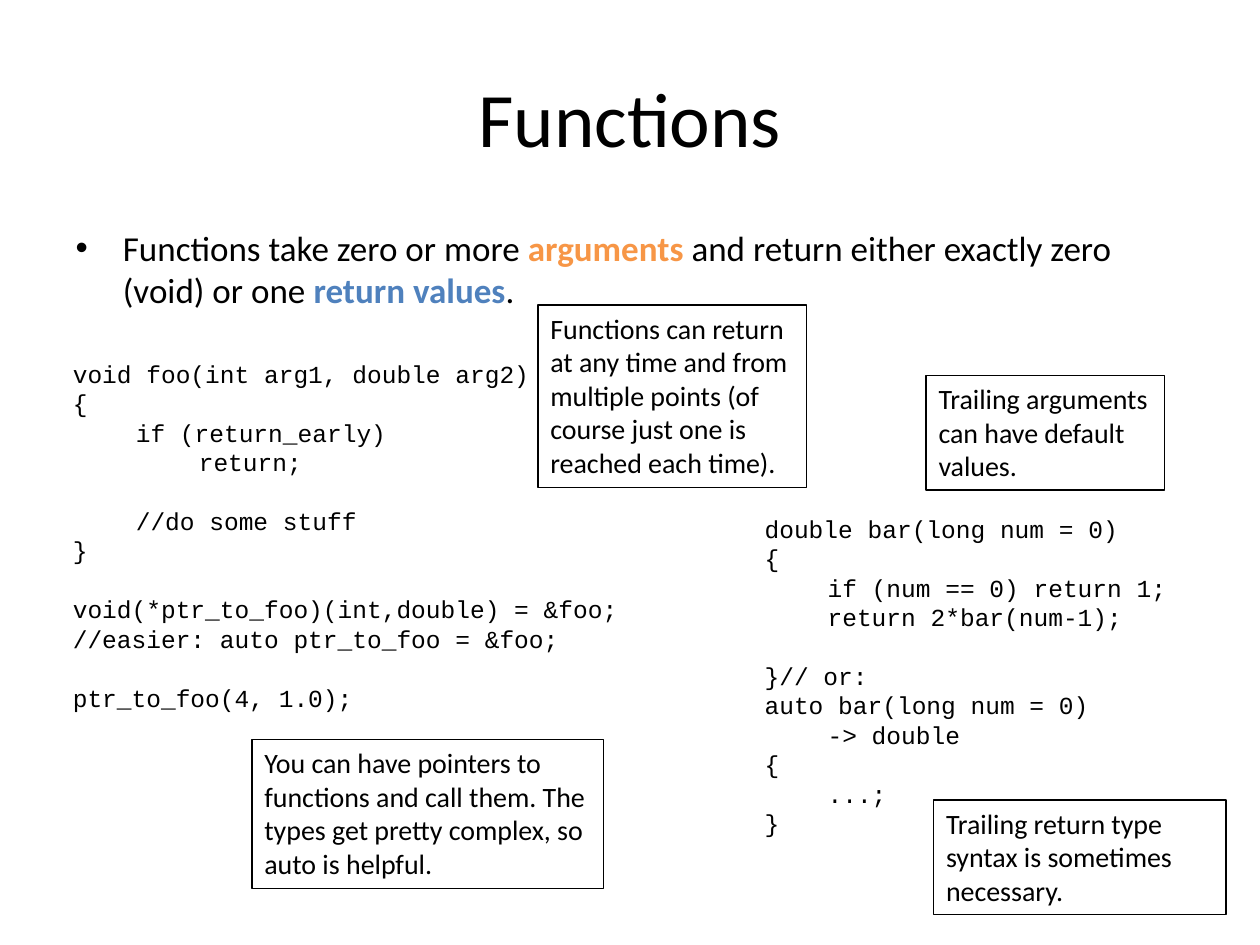
from pptx import Presentation
from pptx.dml.color import RGBColor
from pptx.enum.text import MSO_AUTO_SIZE as AutoSize
from pptx.util import Inches, Pt

BLACK = RGBColor(0x00, 0x00, 0x00)
ORANGE = RGBColor(0xF7, 0x96, 0x46)
BLUE = RGBColor(0x4F, 0x81, 0xBD)
CODE_LINE = Pt(16.8)


def add_run(paragraph, text, **formats):
    run = paragraph.add_run()
    run.text = text
    values = {"name": "Calibri", "size": Pt(16), "bold": False} | formats
    run.font.color.rgb = values.pop("color", BLACK)
    for name, value in values.items():
        setattr(run.font, name, value)


def add_box(slide, position, wrap):
    box = slide.shapes.add_textbox(*map(Inches, position))
    box.text_frame.word_wrap = wrap
    box.text_frame.auto_size = AutoSize.SHAPE_TO_FIT_TEXT
    return box


presentation = Presentation()
presentation.slide_width = Inches(10)
presentation.slide_height = Inches(7.5)
slide = presentation.slides.add_slide(presentation.slide_layouts[1])

# Title and bullet
title, body = slide.placeholders
add_run(title.text_frame.paragraphs[0], "Functions", size=Pt(44))
bullet_runs = [
    ("Functions take zero or more ", {}),
    ("arguments ", {"color": ORANGE, "bold": True}),
    ("and return either exactly zero (void) or one ", {}),
    ("return values", {"color": BLUE, "bold": True}),
    (".", {}),
]
for text, formats in bullet_runs:
    add_run(body.text_frame.paragraphs[0], text, size=Pt(20), **formats)

# Code listings: an empty line becomes space before the next line
FOO_CODE = """void foo(int arg1, double arg2)
{
\tif (return_early)
\t\treturn;

\t//do some stuff
}

void(*ptr_to_foo)(int,double) = &foo;
//easier: auto ptr_to_foo = &foo;

ptr_to_foo(4, 1.0);"""
BAR_CODE = """double bar(long num = 0)
{
\tif (num == 0) return 1;
\treturn 2*bar(num-1);
}

// or:
auto bar(long num = 0)
\t-> double
{
\t...;
}"""
listings = [
    ((0.48, 2.8, 4.56, 2.93), FOO_CODE),
    ((5.97, 4.03, 3.42, 2.93), BAR_CODE),
]
for position, code in listings:
    frame = add_box(slide, position, wrap=False).text_frame
    paragraph = frame.paragraphs[0]
    for line in code.splitlines():
        if not line:
            paragraph.space_before = CODE_LINE
            continue
        add_run(paragraph, line, name="Courier New", size=Pt(14))
        if line != code.splitlines()[-1] or paragraph is frame.paragraphs[0]:
            paragraph = frame.add_paragraph()
    # The closing line leaves one unused paragraph
    if not paragraph.runs:
        frame._txBody.remove(paragraph._p)

# Outlined remarks
remarks = [
    ((4.27, 2.42, 2.13, 1.45), "Functions can return at any time and from multiple "
     "points (of course just one is reached each time)."),
    ((7.35, 2.98, 1.89, 0.91), "Trailing arguments can have default values."),
    ((7.41, 6.35, 2.32, 0.91), "Trailing return type syntax is sometimes necessary."),
    ((2, 5.87, 2.79, 1.18), "You can have pointers to functions and call them. "
     "The types get pretty complex, so auto is helpful."),
]
for position, text in remarks:
    remark = add_box(slide, position, wrap=True)
    remark.line.color.rgb = BLACK
    remark.line.width = Pt(0.75)
    add_run(remark.text_frame.paragraphs[0], text)

presentation.save("out.pptx")
